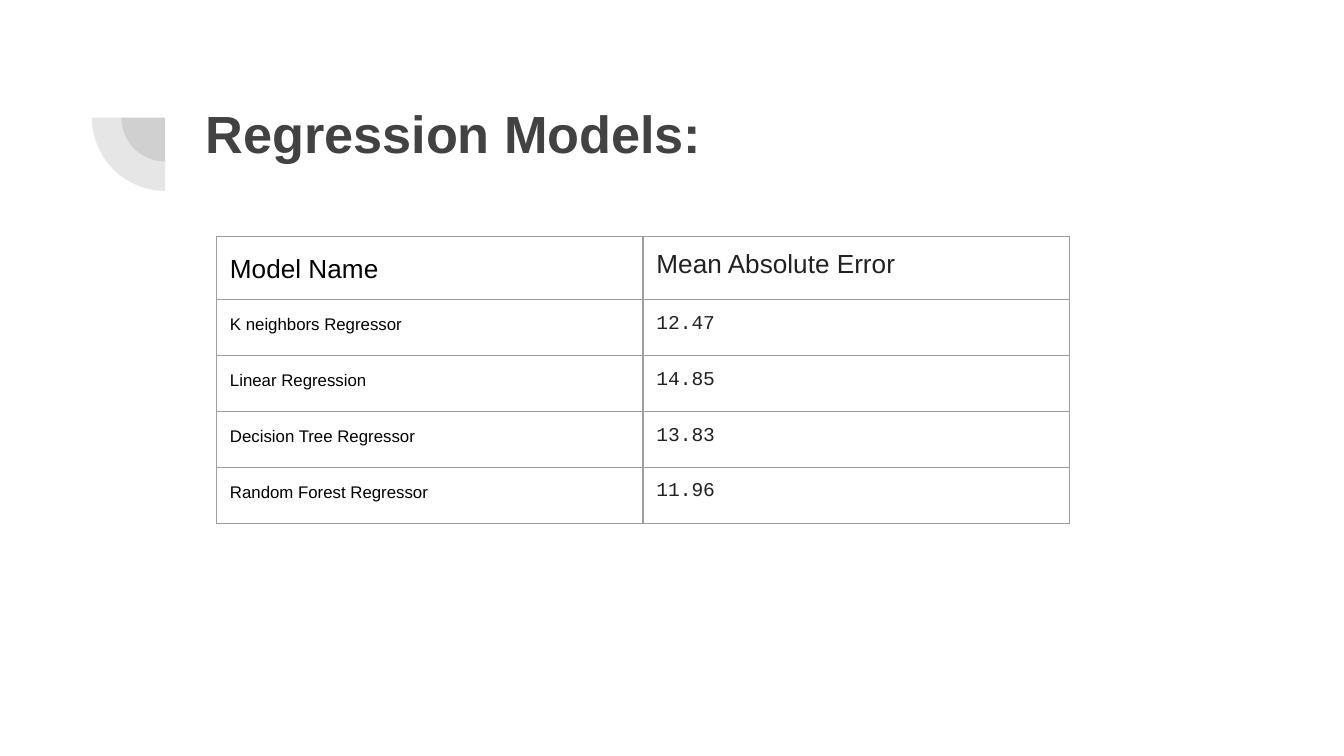
import pptx
import pptx.dml.color
import pptx.enum.shapes
import pptx.enum.text
import pptx.oxml
import pptx.oxml.ns
import pptx.util
from pptx.util import Pt

THEME = {
    "title": {"name": "Arial", "size": Pt(28), "bold": True, "color": "424242"},
    "model_header": {"name": "Arial", "size": Pt(14), "color": "000000"},
    "error_header": {"name": "Arial", "size": Pt(14), "color": "212121"},
    "model": {"name": "Arial", "size": Pt(9), "color": "000000"},
    "error": {"name": "Courier New", "size": Pt(10.5), "color": "212121"},
    "ornament": "424242",
    "border": "9E9E9E",
}
MARGIN = Pt(7.2)


def write_text(paragraph, text, style):
    run = paragraph.add_run()
    run.text = text
    for attribute, value in THEME[style].items():
        if attribute == "color":
            run.font.color.rgb = pptx.dml.color.RGBColor.from_string(value)
        else:
            setattr(run.font, attribute, value)


def add_borders(cell):
    properties = cell._tc.get_or_add_tcPr()
    for position, side in enumerate(("lnL", "lnR", "lnT", "lnB")):
        properties.insert(position, pptx.oxml.parse_xml(
            f'<a:{side} {pptx.oxml.ns.nsdecls("a")} w="{Pt(0.75)}"><a:solidFill>'
            f'<a:srgbClr val="{THEME["border"]}"/></a:solidFill></a:{side}>'))


presentation = pptx.Presentation()
presentation.slide_width, presentation.slide_height = Pt(720), Pt(405)
slide = presentation.slides.add_slide(presentation.slide_layouts[6])

# Two translucent quarter circles around one centre
center_x, center_y = 88.5, 63
for diameter in (47, 78.5):
    quarter = slide.shapes.add_shape(
        pptx.enum.shapes.MSO_SHAPE.PIE,
        Pt(center_x - diameter / 2), Pt(center_y - diameter / 2), Pt(diameter), Pt(diameter))
    quarter.adjustments[0], quarter.adjustments[1] = 108, 162
    quarter.rotation = 270
    quarter.shadow.inherit = False
    quarter.line.fill.background()
    quarter.fill.solid()
    quarter.fill.fore_color.rgb = pptx.dml.color.RGBColor.from_string(THEME["ornament"])
    color = quarter._element.spPr.find(".//" + pptx.oxml.ns.qn("a:srgbClr"))
    color.append(pptx.oxml.parse_xml(
        f'<a:alpha {pptx.oxml.ns.nsdecls("a")} val="13000"/>'))

# Title
title = slide.shapes.add_textbox(Pt(103), Pt(46.8), Pt(553.7), Pt(78.5))
frame_format = {
    "word_wrap": True,
    "vertical_anchor": pptx.enum.text.MSO_ANCHOR.TOP,
    "margin_left": MARGIN, "margin_right": MARGIN,
    "margin_top": MARGIN, "margin_bottom": MARGIN,
}
for attribute, value in frame_format.items():
    setattr(title.text_frame, attribute, value)
write_text(title.text_frame.paragraphs[0], "Regression Models:", "title")

# Table of models and their errors
rows = [
    ("Model Name", "Mean Absolute Error"),
    ("K neighbors Regressor", "12.47"),
    ("Linear Regression", "14.85"),
    ("Decision Tree Regressor", "13.83"),
    ("Random Forest Regressor", "11.96"),
]
header_height, row_height, column_width = 32.4, 30, 228.5
table = slide.shapes.add_table(
    len(rows), 2, Pt(116), Pt(126.7), Pt(2 * column_width),
    Pt(header_height + row_height * (len(rows) - 1))).table
table.first_row = table.horz_banding = False
for column in table.columns:
    column.width = Pt(column_width)

cell_format = {side: MARGIN for side in
               ("margin_left", "margin_right", "margin_top", "margin_bottom")}
for row_index, texts in enumerate(rows):
    table.rows[row_index].height = Pt(row_height if row_index else header_height)
    styles = ("model", "error") if row_index else ("model_header", "error_header")
    for column_index, (text, style) in enumerate(zip(texts, styles)):
        cell = table.cell(row_index, column_index)
        for attribute, value in cell_format.items():
            setattr(cell, attribute, value)
        cell.fill.background()
        add_borders(cell)
        paragraph = cell.text_frame.paragraphs[0]
        if column_index == 0:
            paragraph.line_spacing = 1.15
            if row_index < len(rows) - 1:
                paragraph.space_after = Pt(12)
        write_text(paragraph, text, style)

presentation.save("out.pptx")
